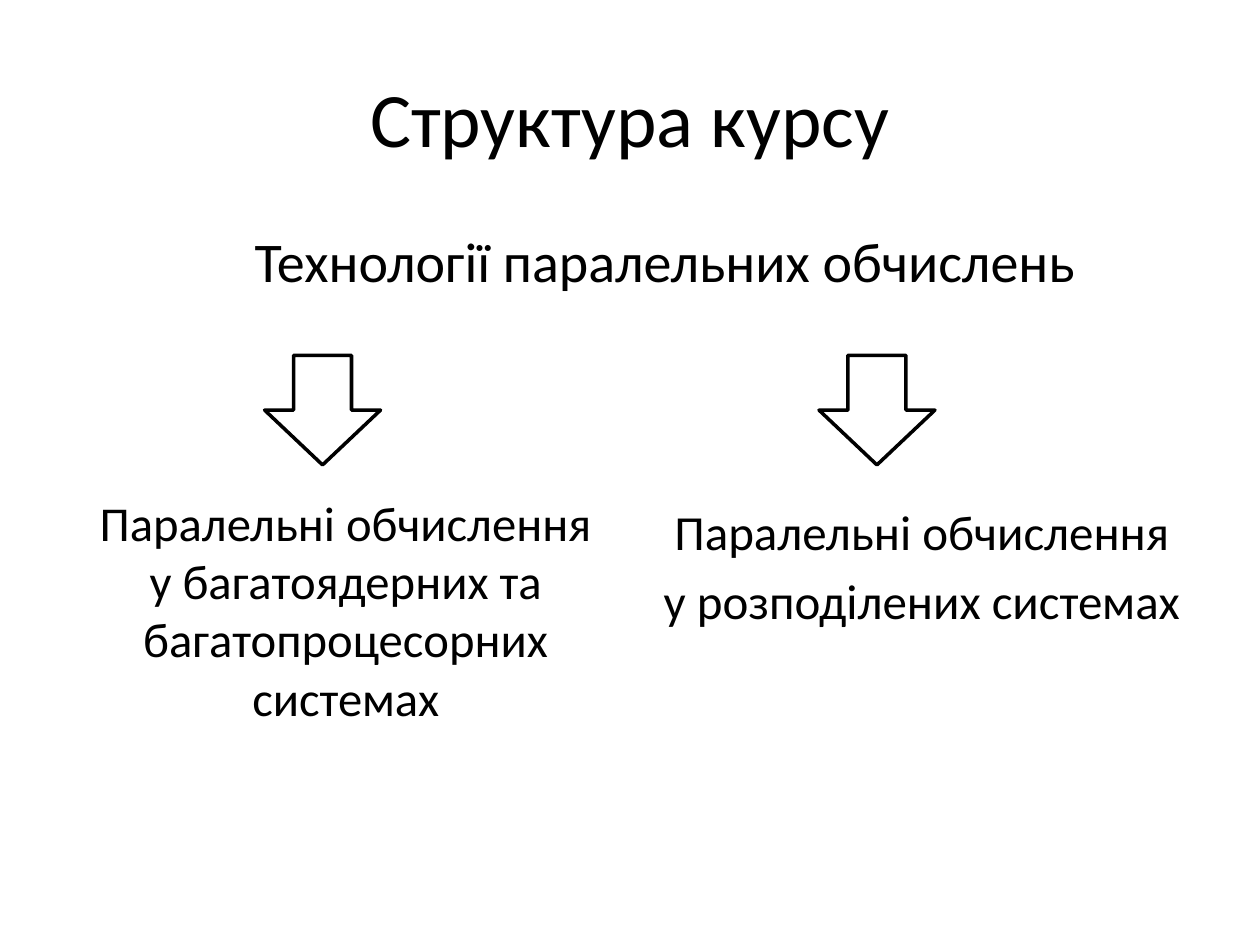
from dataclasses import dataclass

from pptx import Presentation
from pptx.dml.color import RGBColor
from pptx.enum.shapes import MSO_SHAPE
from pptx.enum.text import MSO_ANCHOR, PP_ALIGN
from pptx.slide import Slide
from pptx.util import Inches, Pt

DOWN = MSO_SHAPE.DOWN_ARROW
TOP, MIDDLE = MSO_ANCHOR.TOP, MSO_ANCHOR.MIDDLE
CENTER = PP_ALIGN.CENTER
BLACK, WHITE = "000000", "FFFFFF"
FONT = "Calibri"
GAP = 0.2


@dataclass
class Label:
    box: tuple[float, float, float, float]
    lines: list[str]
    size: float
    anchor: MSO_ANCHOR = TOP
    gap: float = GAP


LABELS = [
    Label((0.5, 0.3, 9, 1.25), ["Структура курсу"], 44, MIDDLE, 0),
    Label((0.78, 1.75, 9, 1.07), ["Технології паралельних обчислень"], 32),
    Label((0.65, 3.86, 4.19, 1.89),
          ["Паралельні обчислення у багатоядерних та багатопроцесорних системах"],
          27.8),
    Label((4.84, 3.93, 4.95, 1.71),
          ["Паралельні обчислення", "у розподілених системах"], 28),
]
ARROWS = [(left, 2.82, 0.92, 0.87) for left in (2.1, 6.5)]


def color(code: str) -> RGBColor:
    return RGBColor.from_string(code)


def apply(target: object, form: dict[str, object]) -> None:
    for name, value in form.items():
        setattr(target, name, value)


def add_label(slide: Slide, label: Label) -> None:
    frame = slide.shapes.add_textbox(*map(Inches, label.box)).text_frame
    apply(frame, {"word_wrap": True, "vertical_anchor": label.anchor,
                  "text": "\n".join(label.lines)})
    for line in frame.paragraphs:
        apply(line, {"alignment": CENTER,
                     "space_before": Pt(label.size * label.gap)})
        font = line.runs[0].font
        apply(font, {"name": FONT, "size": Pt(label.size)})
        font.color.rgb = color(BLACK)


def add_arrow(slide: Slide, box: tuple[float, float, float, float]) -> None:
    arrow = slide.shapes.add_shape(DOWN, *map(Inches, box))
    arrow.shadow.inherit = False
    arrow.fill.solid()
    arrow.fill.fore_color.rgb = color(WHITE)
    arrow.line.color.rgb = color(BLACK)
    arrow.line.width = Pt(2)


def main() -> None:
    deck = Presentation()
    apply(deck, {"slide_width": Inches(10), "slide_height": Inches(7.5)})
    slide = deck.slides.add_slide(deck.slide_layouts[6])
    for label in LABELS:
        add_label(slide, label)
    for box in ARROWS:
        add_arrow(slide, box)
    deck.save("out.pptx")


if __name__ == "__main__":
    main()
